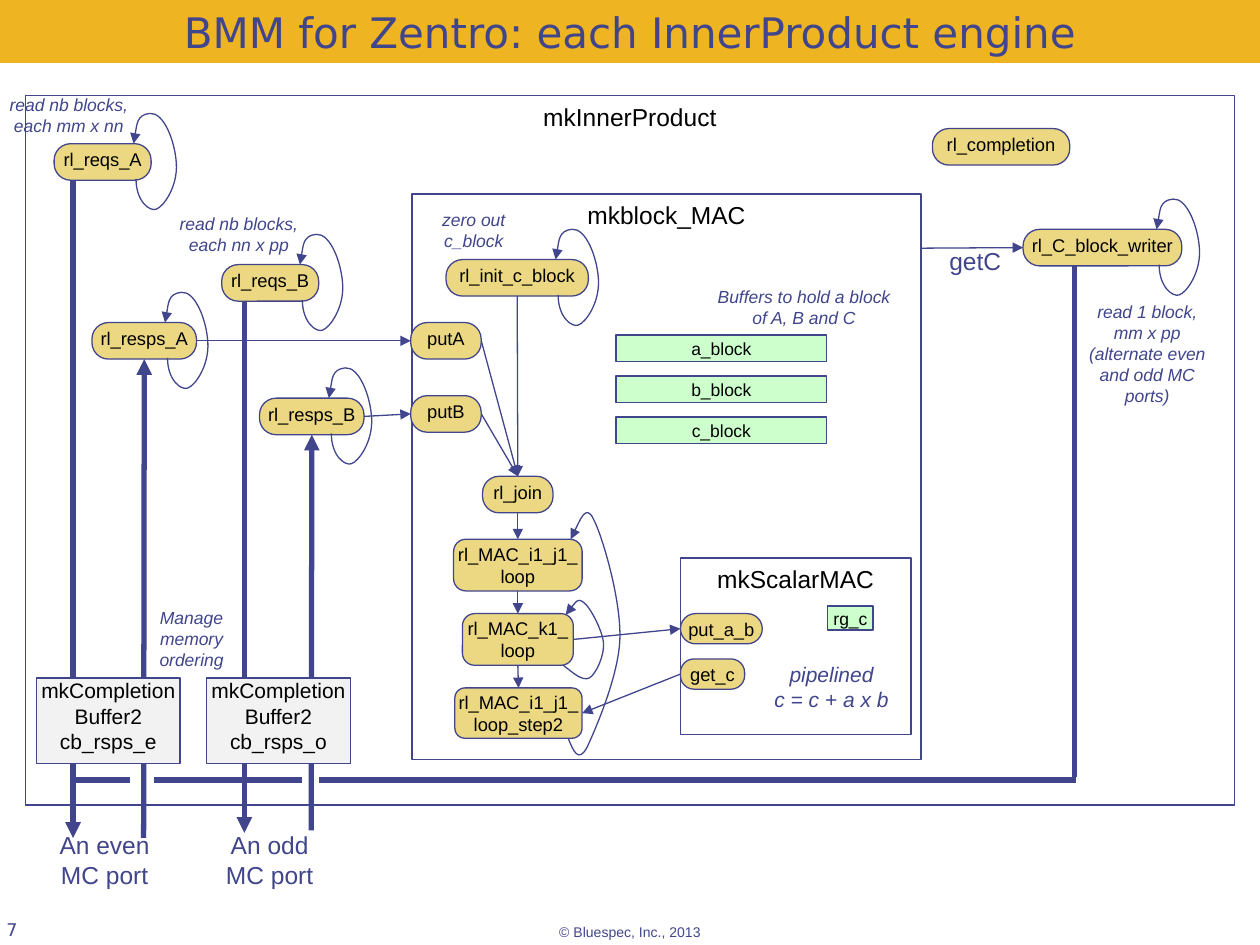
from dataclasses import dataclass
from typing import Optional

from lxml.etree import SubElement
from pptx import Presentation
from pptx.dml.color import RGBColor
from pptx.enum.shapes import MSO_CONNECTOR, MSO_SHAPE
from pptx.enum.text import MSO_ANCHOR, MSO_AUTO_SIZE, PP_ALIGN
from pptx.oxml.ns import qn
from pptx.util import Inches, Pt

INDIGO = RGBColor(0x40, 0x45, 0x8C)
BLACK = RGBColor(0, 0, 0)
AMBER = RGBColor(0xEE, 0xB4, 0x22)
SAND = RGBColor(0xEC, 0xD8, 0x82)
MINT = RGBColor(0xCC, 0xFF, 0xCC)
PALE_GREY = RGBColor(0xF2, 0xF2, 0xF2)

TOP, LEFT, BOTTOM, RIGHT = range(4)
THIN, THICK = 0.75, 3
SELF_LOOP = [(0.02, 0.28), (0.02, 0.46), (0.13, 0.54), (0.18, 0.52), (0.24, 0.5),
             (0.35, 0.34), (0.34, 0.16), (0.33, -0.02), (0.24, -0.25),
             (0.13, -0.24), (0.02, -0.23), (0, 0), (0, 0)]
K1_LOOP = [(4.47, 5.28), (4.55, 5.34), (4.62, 5.41), (4.68, 5.38), (4.73, 5.35),
           (4.8, 5.2), (4.79, 5.1), (4.78, 5), (4.68, 4.81), (4.63, 4.78),
           (4.58, 4.74), (4.49, 4.88), (4.49, 4.88)]
J1_LOOP = [(4.51, 5.86), (4.55, 5.96), (4.59, 6.06), (4.66, 5.93), (4.72, 5.8),
           (4.91, 5.37), (4.92, 5.07), (4.93, 4.76), (4.78, 4.25), (4.71, 4.12),
           (4.65, 3.99), (4.53, 4.28), (4.53, 4.28)]


@dataclass(frozen=True)
class Box:
    text: str
    left: float
    top: float
    width: float
    height: float
    fill: Optional[RGBColor] = None
    size: float = 14
    inset: float = 0
    corner: Optional[float] = None
    anchor: MSO_ANCHOR = MSO_ANCHOR.TOP


@dataclass(frozen=True)
class Rule:
    text: str
    left: float
    top: float
    width: float
    height: float = 0.29
    corner: float = 0.452
    loop_left: Optional[float] = None


@dataclass(frozen=True)
class Note:
    text: str
    left: float
    top: float
    width: float
    height: float
    size: float = 10
    italic: bool = True
    wrap: bool = False


def style_text(frame, size: float, color: RGBColor, italic: bool = False,
               align=PP_ALIGN.CENTER, face: str = "Arial") -> None:
    for paragraph in frame.paragraphs:
        paragraph.alignment = align
        font = paragraph.font
        font.name, font.size, font.italic = face, Pt(size), italic
        font.color.rgb = color


def draw_box(slide, box: Box):
    kind = MSO_SHAPE.RECTANGLE if box.corner is None else MSO_SHAPE.ROUNDED_RECTANGLE
    shape = slide.shapes.add_shape(kind, Inches(box.left), Inches(box.top),
                                   Inches(box.width), Inches(box.height))
    shape.shadow.inherit = False
    if box.corner is not None:
        shape.adjustments[0] = box.corner
    if box.fill is None:
        shape.fill.background()
    else:
        shape.fill.solid()
        shape.fill.fore_color.rgb = box.fill
    shape.line.color.rgb, shape.line.width = INDIGO, Pt(THIN)
    frame = shape.text_frame
    frame.margin_left = frame.margin_right = Inches(box.inset)
    frame.margin_top = frame.margin_bottom = Inches(box.inset / 2)
    frame.vertical_anchor, frame.word_wrap = box.anchor, True
    frame.text = box.text
    style_text(frame, box.size, BLACK)
    return shape


def draw_rule(slide, rule: Rule):
    shape = draw_box(slide, Box(rule.text, rule.left, rule.top, rule.width, rule.height,
                                SAND, 10.5, corner=rule.corner))
    if rule.loop_left is not None:
        draw_loop(slide, [(rule.loop_left + x, rule.top + y) for x, y in SELF_LOOP])
    return shape


def draw_note(slide, note: Note, align=PP_ALIGN.CENTER):
    frame = slide.shapes.add_textbox(Inches(note.left), Inches(note.top), Inches(note.width),
                                     Inches(note.height)).text_frame
    frame.word_wrap = note.wrap
    frame.text = note.text
    style_text(frame, note.size, INDIGO, note.italic, align)
    return frame


def add_arrowhead(shape) -> None:
    SubElement(shape.line._get_or_add_ln(), qn("a:tailEnd"), type="triangle")


def draw_loop(slide, points: list[tuple[float, float]]) -> None:
    start, *controls = [(Inches(x), Inches(y)) for x, y in points]
    builder = slide.shapes.build_freeform(*start)
    builder.add_line_segments(controls, close=False)
    loop = builder.convert_to_shape()
    loop.shadow.inherit = False
    loop.fill.background()
    loop.line.color.rgb, loop.line.width = INDIGO, Pt(THIN)
    add_arrowhead(loop)
    outline = next(loop._element.iter(qn("a:path")))
    segments = outline.findall(qn("a:lnTo"))
    for first in range(0, len(segments), 3):
        curve = SubElement(outline, qn("a:cubicBezTo"))
        for segment in segments[first:first + 3]:
            curve.append(segment[0])
            outline.remove(segment)


def draw_line(slide, start: tuple[float, float], end: tuple[float, float],
              width: float = THICK, arrow: bool = True):
    line = slide.shapes.add_connector(MSO_CONNECTOR.STRAIGHT,
                                      *(Inches(value) for value in start + end))
    SubElement(line._element.spPr, qn("a:effectLst"))
    line.line.color.rgb, line.line.width = INDIGO, Pt(width)
    if arrow:
        add_arrowhead(line)
    return line


def draw_link(slide, source, source_side: int, target, target_side: int) -> None:
    link = draw_line(slide, (0, 0), (1, 1), THIN)
    link.begin_connect(source, source_side)
    link.end_connect(target, target_side)


FRAMES = [
    Box("mkInnerProduct", 0.2, 0.76, 9.6, 5.63, inset=0.1),
    Box("mkblock_MAC", 3.27, 1.54, 4.04, 4.49, inset=0.1),
    Box("mkScalarMAC", 5.4, 4.43, 1.83, 1.4, inset=0.1),
]
RULES = [
    Rule("rl_reqs_A", 0.43, 1.14, 0.77, loop_left=1.06),
    Rule("rl_resps_A", 0.73, 2.56, 0.83, loop_left=1.31),
    Rule("rl_reqs_B", 1.76, 2.1, 0.77, loop_left=2.38),
    Rule("rl_resps_B", 2.06, 3.16, 0.83, loop_left=2.61),
    Rule("rl_C_block_writer", 8.12, 1.82, 1.26, loop_left=9.18),
    Rule("rl_init_c_block", 3.54, 2.06, 1.13, loop_left=4.41),
    Rule("putA", 3.26, 2.56, 0.56),
    Rule("putB", 3.26, 3.14, 0.56),
    Rule("rl_join", 3.83, 3.78, 0.56),
    Rule("rl_MAC_i1_j1_loop", 3.6, 4.28, 1.02, 0.41, 0.236),
    Rule("rl_MAC_k1_loop", 3.67, 4.87, 0.88, 0.41, 0.236),
    Rule("rl_MAC_i1_j1_loop_step2", 3.61, 5.46, 1.01, 0.4, 0.202),
    Rule("put_a_b", 5.4, 4.87, 0.65, 0.24, 0.5),
    Rule("get_c", 5.4, 5.23, 0.51, 0.24, 0.45),
    Rule("rl_completion", 7.4, 1.02, 1.09),
]
LINKS = [
    ("rl_resps_A", RIGHT, "putA", LEFT),
    ("rl_resps_B", RIGHT, "putB", LEFT),
    ("putA", RIGHT, "rl_join", TOP),
    ("putB", RIGHT, "rl_join", TOP),
    ("rl_init_c_block", BOTTOM, "rl_join", TOP),
    ("rl_join", BOTTOM, "rl_MAC_i1_j1_loop", TOP),
    ("rl_MAC_i1_j1_loop", BOTTOM, "rl_MAC_k1_loop", TOP),
    ("rl_MAC_k1_loop", BOTTOM, "rl_MAC_i1_j1_loop_step2", TOP),
    ("rl_MAC_k1_loop", RIGHT, "put_a_b", LEFT),
    ("get_c", LEFT, "rl_MAC_i1_j1_loop_step2", RIGHT),
]
NOTES = [
    Note("read nb blocks,\neach mm x nn", -0.05, 0.7, 1.19, 0.44),
    Note("read nb blocks,\neach nn x pp", 1.3, 1.64, 1.19, 0.44),
    Note("Manage\nmemory\nordering", 1.14, 4.77, 0.76, 0.61),
    Note("zero out c_block", 3.38, 1.61, 0.76, 0.44, wrap=True),
    Note("Buffers to hold a block of A, B and C", 5.59, 2.22, 1.58, 0.44, wrap=True),
    Note("read 1 block,\nmm x pp\n(alternate even and odd MC ports)", 8.47, 2.34, 1.27, 0.94,
         wrap=True),
    Note("pipelined\nc = c + a x b", 6.02, 5.2, 1.16, 0.5, 12),
    Note("getC", 7.43, 1.9, 0.62, 0.34, 14, False),
    Note("An even\nMC port", 0.37, 6.54, 0.92, 0.57, 14, False),
    Note("An odd\nMC port", 1.68, 6.54, 0.92, 0.57, 14, False),
]


def draw_title(slide) -> None:
    title = slide.shapes.title
    title.left, title.top, title.width, title.height = 0, 0, Inches(10), Inches(0.5)
    title.fill.solid()
    title.fill.fore_color.rgb = AMBER
    frame = title.text_frame
    frame.auto_size, frame.vertical_anchor = MSO_AUTO_SIZE.NONE, MSO_ANCHOR.BOTTOM
    frame.margin_left = frame.margin_right = 0
    frame.text = "BMM for Zentro: each InnerProduct engine"
    style_text(frame, 24, INDIGO, face="DejaVu Sans")


def draw_page_number(slide) -> None:
    frame = draw_note(slide, Note("7", 0.05, 6.96, 2.08, 0.5, wrap=True))
    frame.margin_left = frame.margin_right = frame.margin_top = frame.margin_bottom = 0
    frame.vertical_anchor = MSO_ANCHOR.BOTTOM
    style_text(frame, 10, INDIGO, align=PP_ALIGN.LEFT, face="DejaVu Sans")


def draw_memory_paths(slide, rules: dict) -> None:
    draw_line(slide, (0.58, 1.43), (0.58, 6.65))
    draw_line(slide, (1.94, 2.39), (1.94, 6.61))
    for x, bottom, response in [(1.14, 6.65, "rl_resps_A"), (2.47, 6.59, "rl_resps_B")]:
        draw_line(slide, (x, bottom), (x, 3)).end_connect(rules[response], BOTTOM)
    draw_line(slide, (8.53, 2.11), (8.53, 6.17), arrow=False)
    for right, left in [(1.03, 0.59), (2.4, 1.22), (8.54, 2.53)]:
        draw_line(slide, (right, 6.19), (left, 6.19), arrow=False)
    for left, suffix in [(0.29, "e"), (1.64, "o")]:
        draw_box(slide, Box(f"mkCompletionBuffer2\ncb_rsps_{suffix}", left, 5.38, 1.14, 0.68,
                            PALE_GREY, 12))


def main() -> None:
    deck = Presentation()
    deck.slide_width, deck.slide_height = Inches(10), Inches(7.5)
    slide = deck.slides.add_slide(deck.slide_layouts[5])
    draw_title(slide)
    for frame in FRAMES:
        draw_box(slide, frame)
    rules = {rule.text: draw_rule(slide, rule) for rule in RULES}
    draw_memory_paths(slide, rules)
    for source, source_side, target, target_side in LINKS:
        draw_link(slide, rules[source], source_side, rules[target], target_side)
    draw_line(slide, (7.31, 1.97), (8.12, 1.97), THIN).end_connect(
        rules["rl_C_block_writer"], LEFT)
    draw_loop(slide, K1_LOOP)
    draw_loop(slide, J1_LOOP)
    for row, name in enumerate("abc"):
        draw_box(slide, Box(f"{name}_block", 4.89, 2.66 + 0.325 * row, 1.67, 0.21, MINT, 10,
                            anchor=MSO_ANCHOR.MIDDLE))
    draw_box(slide, Box("rg_c", 6.57, 4.81, 0.36, 0.19, MINT, 10, anchor=MSO_ANCHOR.MIDDLE))
    for note in NOTES:
        draw_note(slide, note)
    draw_note(slide, Note("© Bluespec, Inc., 2013", 4.34, 7.28, 1.33, 0.24, 8, False),
              PP_ALIGN.LEFT)
    draw_page_number(slide)
    deck.save("out.pptx")


if __name__ == "__main__":
    main()
